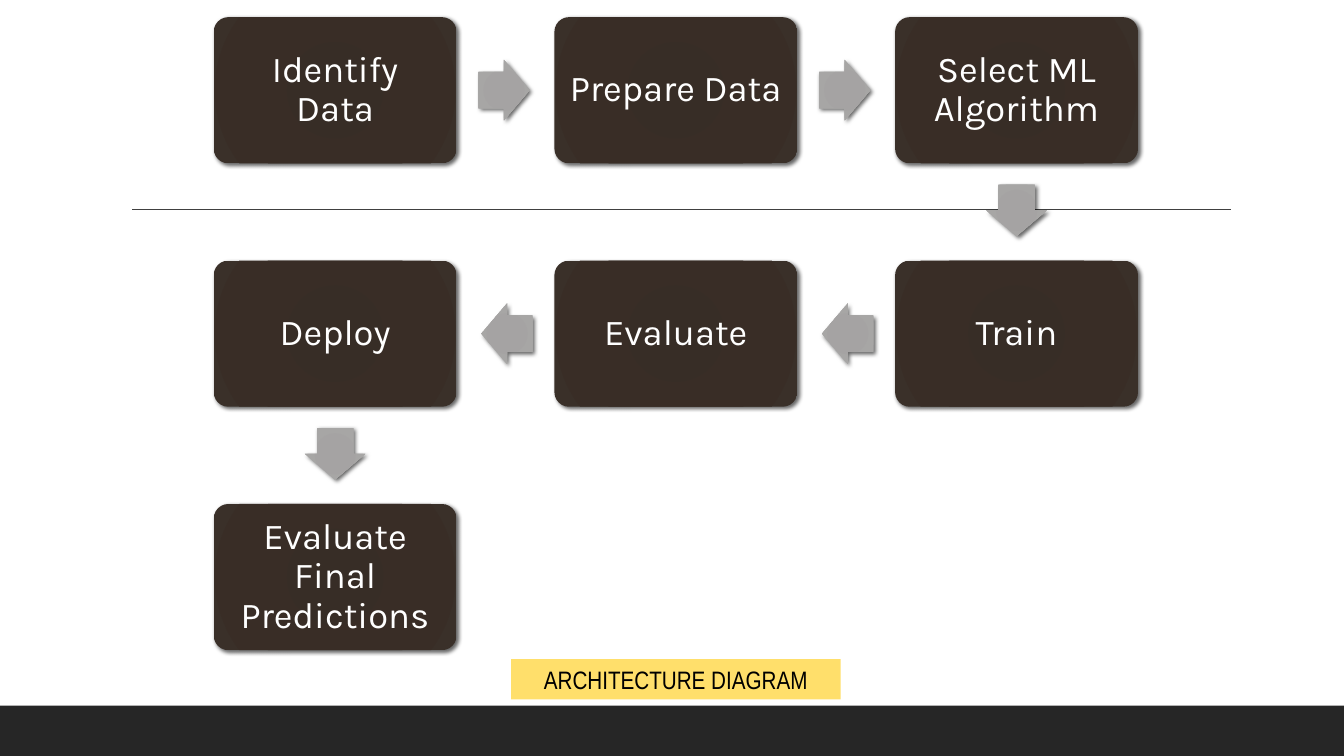
import math
from pptx import Presentation, util as u
from pptx.dml.color import RGBColor
from pptx.enum import shapes, text
from pptx.oxml import parse_xml
from pptx.oxml.ns import nsdecls
from lxml import etree

THEME = {
    "box": [(0, "372C25"), (34, "372D26"), (70, "392D26"), (100, "3A3029")],
    "arrow": [(0, "A3A2A1"), (34, "A5A3A3"), (70, "A7A6A5"), (100, "AFAEAD")],
    "footer": "262626", "rule": "404040", "caption": "FFDF6B",
    "light": "FFFFFF", "dark": "000000",
    "step_font": "Karla", "step_size": 26,
    "caption_font": "Arial Narrow", "caption_size": 18,
}

# Grid of steps, in inches
LEFT, TOP = 2.12, 0.17
COL, ROW = 3.38, 2.415
BOX_W, BOX_H = 2.41, 1.45
ARROW_W, ARROW_H = 0.51, 0.6
ARROW_SETBACK = 0.015

# Each step with its column and row, in order of flow
STEPS = [
    ("Identify Data", 0, 0), ("Prepare Data", 1, 0), ("Select ML Algorithm", 2, 0),
    ("Train", 2, 1), ("Evaluate", 1, 1), ("Deploy", 0, 1),
    ("Evaluate Final Predictions", 0, 2),
]

prs = Presentation()
prs.slide_width, prs.slide_height = u.Inches(13.333), u.Inches(7.5)
s = prs.slides.add_slide(prs.slide_layouts[6])


def add_shape(kind, x, y, w, h, fill):
    """Add a borderless shape; a list of stops gives a shaded, shadowed one."""
    sp = s.shapes.add_shape(kind, *(u.Inches(v) for v in (x, y, w, h)))
    sp.shadow.inherit = False
    sp.line.fill.background()
    if isinstance(fill, str):
        sp.fill.solid()
        sp.fill.fore_color.rgb = RGBColor.from_string(fill)
        return sp
    stops = "".join(f'<a:gs pos="{pos * 1000}"><a:srgbClr val="{color}"/></a:gs>'
                    for pos, color in fill)
    gradient = parse_xml(
        f'<a:gradFill {nsdecls("a")} rotWithShape="1"><a:gsLst>{stops}</a:gsLst>'
        '<a:path path="circle"><a:fillToRect l="100000" t="100000" r="100000" b="100000"/>'
        '</a:path></a:gradFill>')
    shadow = parse_xml(
        f'<a:outerShdw {nsdecls("a")} blurRad="38100" dist="25400" dir="2700000" '
        'rotWithShape="0"><a:srgbClr val="000000"><a:alpha val="60000"/></a:srgbClr>'
        '</a:outerShdw>')
    properties = sp._element.spPr
    properties.find("{*}prstGeom").addnext(gradient)
    properties.find("{*}effectLst").append(shadow)
    return sp


def write(sp, words, font, size, color):
    tf = sp.text_frame
    tf.word_wrap = True
    tf.vertical_anchor = text.MSO_ANCHOR.MIDDLE
    p = tf.paragraphs[0]
    p.text = words
    p.alignment = text.PP_ALIGN.CENTER
    p.font.name, p.font.size = font, u.Pt(size)
    p.font.color.rgb = RGBColor.from_string(color)
    return tf


# Footer band and rule
add_shape(shapes.MSO_SHAPE.RECTANGLE, 0, 7, 13.333, 0.5, THEME["footer"])
rule = s.shapes.add_connector(shapes.MSO_CONNECTOR.STRAIGHT, u.Inches(1.31),
                              u.Inches(2.08), u.Inches(12.21), u.Inches(2.08))
rule.line.color.rgb = RGBColor.from_string(THEME["rule"])
rule.line.width = u.Pt(1)
etree.SubElement(rule._element.spPr,
                 "{http://schemas.openxmlformats.org/drawingml/2006/main}effectLst")

# Step boxes
for label, col, row in STEPS:
    box = add_shape(shapes.MSO_SHAPE.ROUNDED_RECTANGLE, LEFT + col * COL, TOP + row * ROW,
                    BOX_W, BOX_H, THEME["box"])
    box.adjustments[0] = 0.1
    tf = write(box, label, THEME["step_font"], THEME["step_size"], THEME["light"])
    tf.margin_left = tf.margin_right = tf.margin_top = tf.margin_bottom = u.Inches(0.11)
    tf.paragraphs[0].line_spacing = 0.9

# Arrows, midway between consecutive steps
for (_, col, row), (_, next_col, next_row) in zip(STEPS, STEPS[1:]):
    dx, dy = next_col - col, next_row - row
    x = LEFT + (col + dx / 2) * COL + (BOX_W - ARROW_W) / 2 - dx * ARROW_SETBACK
    y = TOP + (row + dy / 2) * ROW + (BOX_H - ARROW_H) / 2 - dy * ARROW_SETBACK
    arrow = add_shape(shapes.MSO_SHAPE.RIGHT_ARROW, x, y, ARROW_W, ARROW_H, THEME["arrow"])
    arrow.adjustments[0], arrow.adjustments[1] = 0.6, 0.5
    arrow.rotation = math.degrees(math.atan2(dy, dx))

# Caption
caption = add_shape(shapes.MSO_SHAPE.RECTANGLE, 5.07, 6.54, 3.27, 0.4, THEME["caption"])
tf = write(caption, "ARCHITECTURE DIAGRAM", THEME["caption_font"], THEME["caption_size"],
           THEME["dark"])
tf.auto_size = text.MSO_AUTO_SIZE.SHAPE_TO_FIT_TEXT

prs.save("out.pptx")
